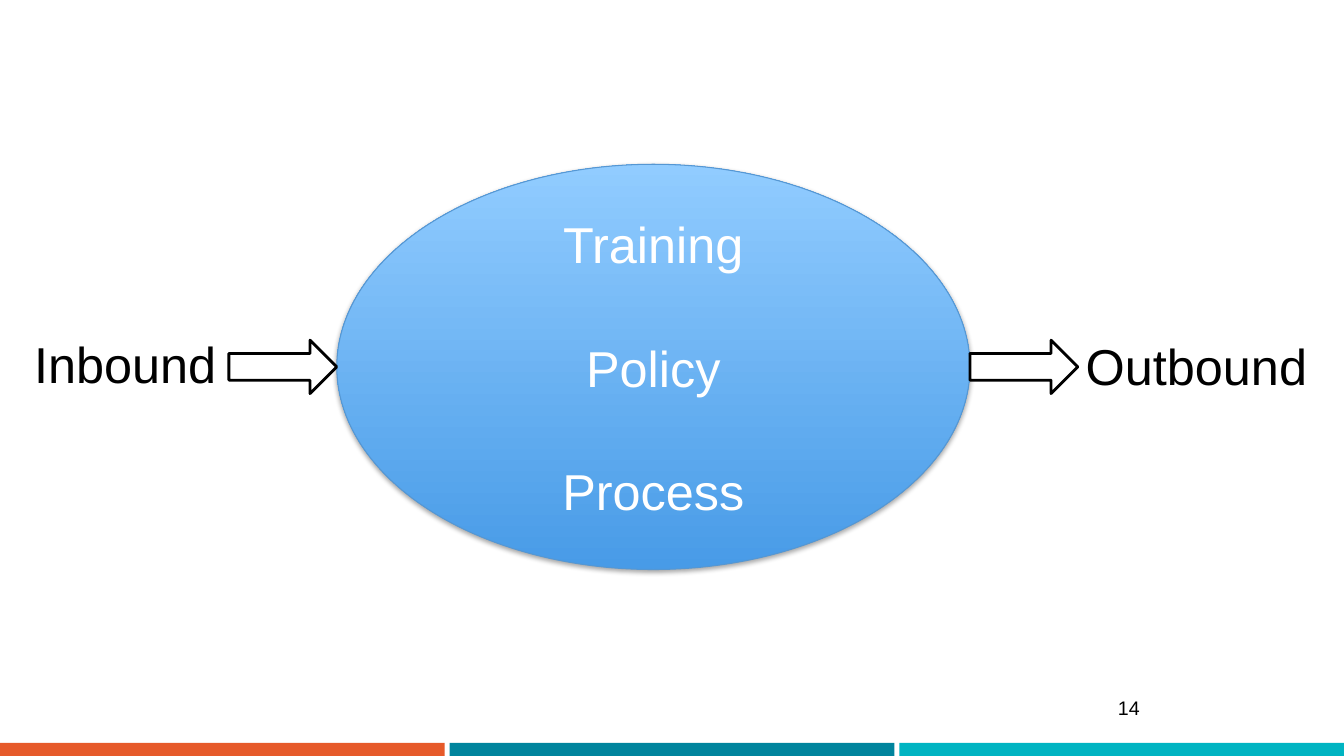
import pptx
import pptx.util
import pptx.dml.color
import pptx.enum.shapes
import pptx.enum.text
import lxml.etree
import pptx.oxml.ns

Inches, Pt = pptx.util.Inches, pptx.util.Pt
SHAPE = pptx.enum.shapes.MSO_SHAPE
ANCHOR = pptx.enum.text.MSO_ANCHOR
ALIGN = pptx.enum.text.PP_ALIGN

HEX = {"orange": "E65A2A", "teal": "00849D", "aqua": "00B4C2",
       "deep": "489BE7", "pale": "91CCFF", "edge": "5597D3",
       "black": "000000", "white": "FFFFFF"}

TOPICS = ["Training", "Policy", "Process"]
LABELS = [  # text, box, size, anchor
    ("Inbound", (0.24, 3.26, 2.03, 0.71), 36, ANCHOR.TOP),
    ("Outbound", (10.67, 3.28, 2.42, 0.71), 36, ANCHOR.TOP),
    ("14", (10.99, 6.82, 1.43, 0.4), 14, ANCHOR.MIDDLE),
]
BANDS = ["orange", "teal", "aqua"]
BAND_W, BAND_H, BAND_STEP = 4.41, 0.13, 4.46
OVAL = (3.34, 1.63, 6.28, 4.02)
ARROW_W, ARROW_H = 1.07, 0.53
WIDE, HIGH = 13.33, 7.5


def color(name):
    return pptx.dml.color.RGBColor.from_string(HEX[name])


def add_shape(kind, box, fill=None, line=None, width=1):
    shape = slide.shapes.add_shape(kind, *map(Inches, box))
    shape.shadow.inherit = False
    if fill:
        shape.fill.solid()
        shape.fill.fore_color.rgb = color(fill)
    if line:
        shape.line.color.rgb = color(line)
        shape.line.width = Pt(width)
    else:
        shape.line.fill.background()
    return shape


def write(frame, lines, size, tint, align, anchor, gap=0):
    frame.text = "\n".join(lines)
    frame.vertical_anchor = anchor
    for i, para in enumerate(frame.paragraphs):
        para.alignment = align
        para.space_before = Pt(gap if i else 0)
        font = para.runs[0].font
        font.name, font.size = "Arial", Pt(size)
        font.color.rgb = color(tint)


def add_shadow(shape):
    """Soft shadow straight below the shape."""
    tag = pptx.oxml.ns.qn
    sub = lxml.etree.SubElement
    effects = shape.element.spPr.find(tag("a:effectLst"))
    shade = sub(effects, tag("a:outerShdw"), blurRad=str(Pt(3.1)),
                dist=str(Pt(1.8)), dir="5400000", rotWithShape="0")
    tint = sub(shade, tag("a:srgbClr"), val=HEX["black"])
    sub(tint, tag("a:alpha"), val="35000")


deck = pptx.Presentation()
deck.slide_width, deck.slide_height = Inches(WIDE), Inches(HIGH)
slide = deck.slides.add_slide(deck.slide_layouts[6])

for i, name in enumerate(BANDS):
    add_shape(SHAPE.RECTANGLE,
              (i * BAND_STEP, HIGH - BAND_H, BAND_W, BAND_H), name)

oval = add_shape(SHAPE.OVAL, OVAL, line="edge", width=0.75)
oval.fill.gradient()
oval.fill.gradient_angle = 90
for stop, name, place in zip(oval.fill.gradient_stops, ("deep", "pale"), (0, 1)):
    stop.color.rgb = color(name)
    stop.position = place
add_shadow(oval)
write(oval.text_frame, TOPICS, 36, "white", ALIGN.CENTER, ANCHOR.MIDDLE, 45)

for text, box, size, anchor in LABELS:
    frame = slide.shapes.add_textbox(*map(Inches, box)).text_frame
    frame.word_wrap = size < 36
    write(frame, [text], size, "black", ALIGN.LEFT, anchor)

left, top, width, height = OVAL
for x in (left - ARROW_W, left + width):
    add_shape(SHAPE.RIGHT_ARROW,
              (x, top + (height - ARROW_H) / 2, ARROW_W, ARROW_H),
              "white", "black", 2)

deck.save("out.pptx")
